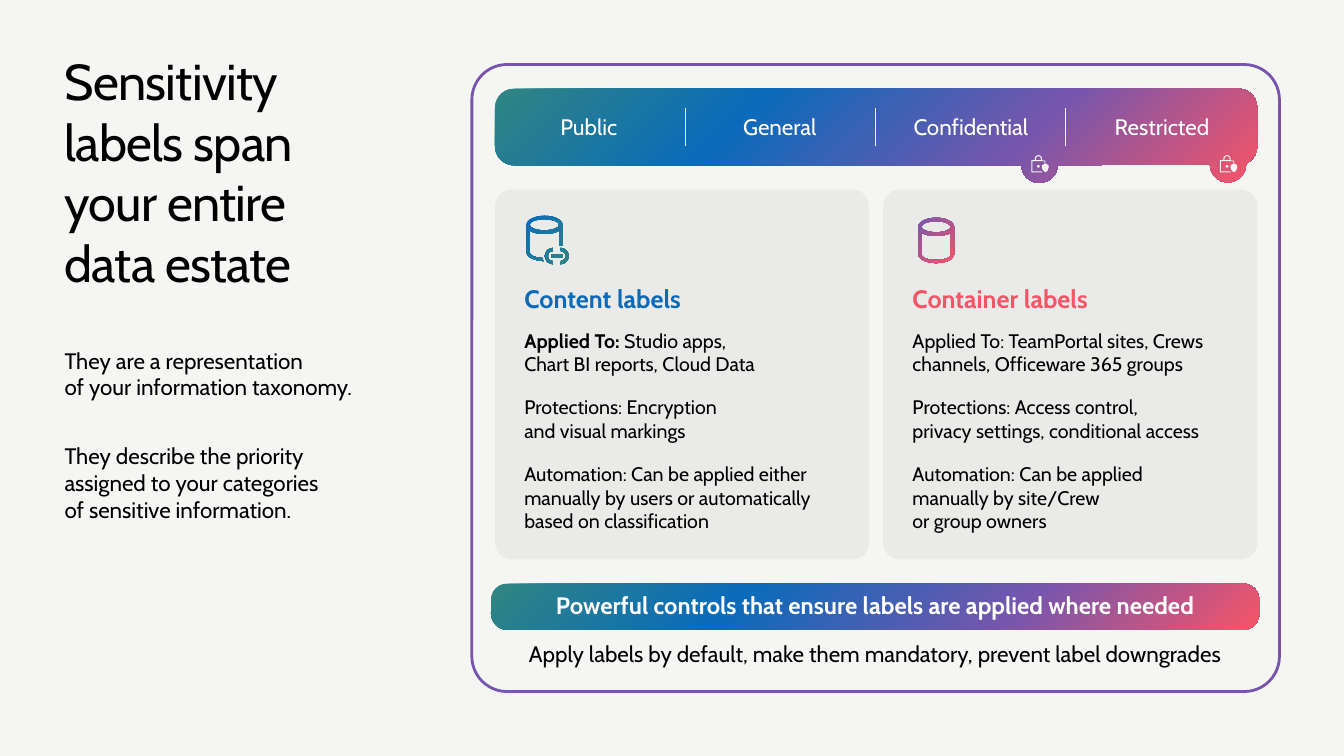
import math
from lxml import etree
from pptx import Presentation
from pptx import util as u
from pptx.dml.color import RGBColor
from pptx.enum import shapes, text
from pptx.oxml import ns

HUES = {
    "paper": "F5F5F4", "ink": "000000", "white": "FFFFFF", "shade": "222120",
    "rose": "F65567", "plum": "7656AD", "blue": "0A6BBA", "teal": "318581",
}
RAINBOW = [(0, "rose"), (32, "plum"), (68, "blue"), (100, "teal")]
LEFT, MID = text.PP_ALIGN.LEFT, text.PP_ALIGN.CENTER


def arc(x, y, rx, ry, start, end, steps=16):
    angles = [math.radians(start + (end - start) * i / steps) for i in range(steps + 1)]
    return [(x + rx * math.cos(a), y + ry * math.sin(a)) for a in angles]


class Deck:
    """Draws styled elements on a slide grid of 75 rows with square cells."""

    font = "Cabin"

    def __init__(self):
        self.prs = Presentation()
        self.prs.slide_width, self.prs.slide_height = u.Inches(13.33), u.Inches(7.5)
        self.cell = self.prs.slide_height / 75
        self.slide = self.prs.slides.add_slide(self.prs.slide_layouts[6])
        fill = self.slide.background.fill
        fill.solid()
        fill.fore_color.rgb = self.hue("paper")

    def hue(self, name):
        return RGBColor.from_string(HUES[name])

    def grid(self, *cells):
        return [round(c * self.cell) for c in cells]

    def blend(self, shape, stops):
        props = shape._element.spPr
        grad = etree.Element(ns.qn("a:gradFill"), rotWithShape="1")
        stop_list = etree.SubElement(grad, ns.qn("a:gsLst"))
        for place, name in stops:
            stop = etree.SubElement(stop_list, ns.qn("a:gs"), pos=str(place * 1000))
            etree.SubElement(stop, ns.qn("a:srgbClr"), val=HUES[name])
        ring = etree.SubElement(grad, ns.qn("a:path"), path="circle")
        etree.SubElement(ring, ns.qn("a:fillToRect"), l="100000", t="100000")
        geom = props.find(ns.qn("a:custGeom"))
        if geom is None:
            geom = props.find(ns.qn("a:prstGeom"))
        geom.addnext(grad)

    def paint(self, shape, fill, alpha=None):
        shape.shadow.inherit = False
        shape.line.fill.background()
        if fill is None:
            shape.fill.background()
        elif isinstance(fill, list):
            self.blend(shape, fill)
        else:
            shape.fill.solid()
            shape.fill.fore_color.rgb = self.hue(fill)
            if alpha:
                color = shape._element.spPr.find(".//" + ns.qn("a:srgbClr"))
                etree.SubElement(color, ns.qn("a:alpha"), val=str(alpha * 1000))

    def letter(self, shape, paras, size, hue="ink", bold=False, align=LEFT,
               gap=(0, 0), inset=(0, 0, 0, 0), middle=False, lead=None, track=None):
        frame = shape.text_frame
        frame.word_wrap = True
        frame.margin_left, frame.margin_top, frame.margin_right, frame.margin_bottom = self.grid(*inset)
        frame.vertical_anchor = text.MSO_ANCHOR.MIDDLE if middle else text.MSO_ANCHOR.TOP
        for i, words in enumerate(paras):
            para = frame.add_paragraph() if i else frame.paragraphs[0]
            para.text = words
            para.alignment = align
            para.space_before = u.Pt(gap[0] if i else 0)
            para.space_after = u.Pt(gap[1])
            if lead and i == 0:
                run = para.add_run()
                run.text = lead
                para.runs[0]._r.addprevious(run._r)
            for run in para.runs:
                run.font.name, run.font.size = self.font, u.Pt(size)
                run.font.bold = bold or run.text == lead
                run.font.color.rgb = self.hue(hue)
                if track:
                    run._r.get_or_add_rPr().set("spc", str(track))

    def label(self, box, paras, size, **style):
        self.letter(self.slide.shapes.add_textbox(*self.grid(*box)), paras, size, **style)

    def panel(self, box, curve, fill=None, alpha=None):
        shape = self.slide.shapes.add_shape(shapes.MSO_SHAPE.ROUNDED_RECTANGLE, *self.grid(*box))
        shape.adjustments[0] = curve
        self.paint(shape, fill, alpha)
        return shape

    def outline(self, loops, fill, x=0, y=0):
        loops = [[self.grid(px + x, py + y) for px, py in loop] for loop in loops]
        build = self.slide.shapes.build_freeform(*loops[0][0])
        build.add_line_segments(loops[0][1:], close=True)
        for loop in loops[1:]:
            build.move_to(*loop[0])
            build.add_line_segments(loop[1:], close=True)
        self.paint(build.convert_to_shape(), fill)

    def rule(self, x, top, end):
        line = self.slide.shapes.add_connector(
            shapes.MSO_CONNECTOR.STRAIGHT, *self.grid(x, top, x, end))
        line.line.color.rgb = self.hue("paper")
        line.line.width = u.Pt(0.75)
        etree.SubElement(line._element.spPr, ns.qn("a:effectLst"))


LID = arc(0, 0.9, 1.45, 0.55, 0, 360)
TOP = arc(0, 0.9, 1.78, 0.9, 180, 360)
DRUM = [
    TOP + arc(0, 3.6, 1.78, 0.9, 0, 180),
    LID,
    arc(0, 1.4, 1.45, 0.4, 0, 180) + arc(0, 3.65, 1.45, 0.55, 180, 0),
]
LINKED = [
    TOP + [(1.78, 3), (1.45, 2.9)] + arc(0, 1.4, 1.45, 0.4, 0, 180)
    + arc(0, 3.65, 1.45, 0.55, 180, 98) + arc(0, 3.6, 1.78, 0.9, 93, 180),
    LID,
    arc(0.85, 4, 0.8, 0.8, 90, 270) + arc(0.85, 4, 0.5, 0.5, 270, 90),
    arc(1.6, 4, 0.8, 0.8, -90, 90) + arc(1.6, 4, 0.5, 0.5, 90, -90),
    [(0.7, 3.84), (1.75, 3.84), (1.75, 4.16), (0.7, 4.16)],
]
LOCK = [
    arc(0, 0.35, 0.35, 0.35, 180, 360)
    + [(0.35, 0.5), (0.7, 0.55), (0.7, 0.75), (0.6, 0.75), (0.6, 0.6), (-0.6, 0.6),
       (-0.6, 1.6), (0.3, 1.6), (0.4, 1.7), (-0.7, 1.7), (-0.7, 0.5), (-0.35, 0.5)],
    arc(0, 0.35, 0.25, 0.25, 180, 360) + [(0.25, 0.5), (-0.25, 0.5)],
    arc(0, 1.1, 0.13, 0.13, 0, 360),
    [(0.7, 0.8), (1, 1), (1, 1.25), (0.92, 1.5), (0.7, 1.7), (0.45, 1.5), (0.35, 1.25), (0.35, 1)],
]
RIBBON = (
    arc(122.8, 10.7, 1.9, 1.9, -90, 0) + arc(122.8, 14.5, 1.9, 1.9, 0, 45)
    + arc(121.8, 16.3, 1.8, 1.8, 0, 180) + arc(103.1, 16.4, 1.8, 1.75, 0, 180)
    + arc(51, 14.5, 1.9, 1.9, 90, 180) + arc(51, 10.7, 1.9, 1.9, 180, 270)
)
CARDS = [
    dict(left=49.1, icon=LINKED, spot=(54, 21.4), fade=[(0, "teal"), (100, "blue")],
         name="Content labels", hue="blue", width=30.3, lead="Applied To: ",
         body=["Studio apps,\vChart BI reports, Cloud Data",
               "Protections: Encryption\vand visual markings",
               "Automation: Can be applied either manually by users or automatically "
               "based on classification"]),
    dict(left=87.6, icon=DRUM, spot=(92.85, 21.6), fade=[(0, "rose"), (100, "plum")],
         name="Container labels", hue="rose", width=33, lead=None,
         body=["Applied To: TeamPortal sites, Crews channels, Officeware 365 groups",
               "Protections: Access control,\vprivacy settings, conditional access",
               "Automation: Can be applied\vmanually by site/Crew\vor group owners"]),
]


def main():
    deck = Deck()
    deck.label((6.4, 5, 37.2, 24.2), ["Sensitivity\vlabels span\vyour entire\vdata estate"],
               36, track=-50)
    deck.label((6.4, 34.4, 31.7, 17.7),
               ["They are a representation\vof your information taxonomy.",
                "They describe the priority assigned to your categories\vof sensitive information."],
               16, gap=(12, 18))
    deck.outline([RIBBON], RAINBOW)
    for i, name in enumerate(["Public", "General", "Confidential", "Restricted"]):
        deck.label((50.2 + 18.95 * i, 11.2, 16.4, 2.7), [name], 16,
                   hue="white", align=MID, middle=True)
        if i:
            deck.rule(49.15 + 18.85 * i, 10.7, 14.5)
    for x in (103, 121.7):
        deck.outline(LOCK, "paper", x, 15.4)
    for card in CARDS:
        left = card["left"]
        deck.panel((left, 18.8, 37.1, 36.7), 0.045, "shade", 5)
        deck.outline(card["icon"], card["fade"], *card["spot"])
        deck.label((left + 2.9, 28.1, 34.5, 3), [card["name"]], 18, hue=card["hue"], bold=True)
        deck.label((left + 2.9, 32.6, card["width"], 20.4), card["body"], 14,
                   gap=(6, 8), lead=card["lead"])
    banner = deck.panel((48.7, 57.9, 76.2, 4.6), 0.35, RAINBOW)
    deck.letter(banner, ["Powerful controls that ensure labels are applied where needed"], 17,
                hue="white", bold=True, align=MID, inset=(1.5, 0.2, 1.5, 0.6), middle=True)
    edge = deck.panel((46.8, 6.4, 80.1, 62.2), 0.056)
    edge.line.color.rgb = deck.hue("plum")
    edge.line.width = u.Pt(2)
    deck.label((48.7, 63.5, 76.2, 2.7),
               ["Apply labels by default, make them mandatory, prevent label downgrades"],
               16, align=MID)
    deck.prs.save("out.pptx")


if __name__ == "__main__":
    main()
